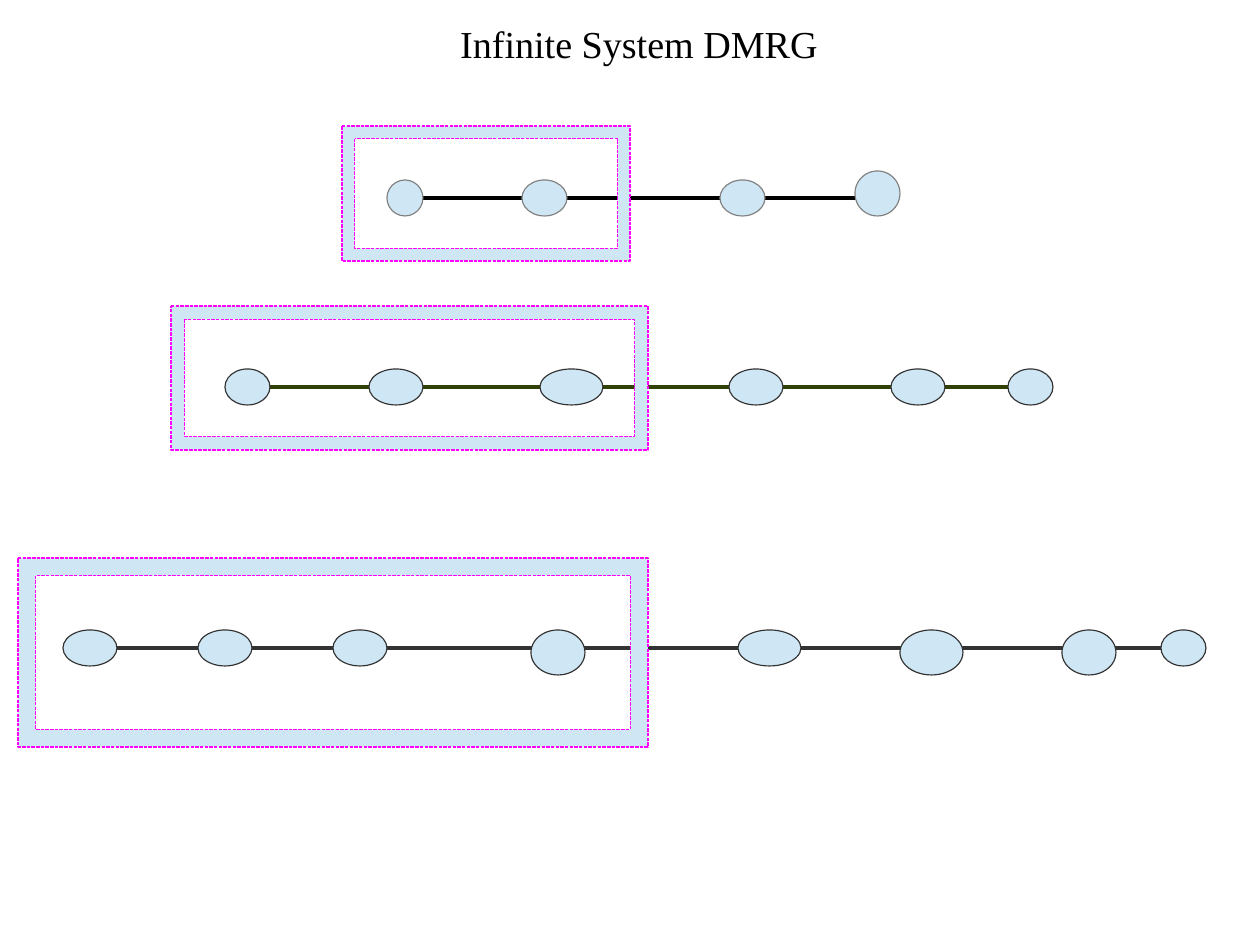
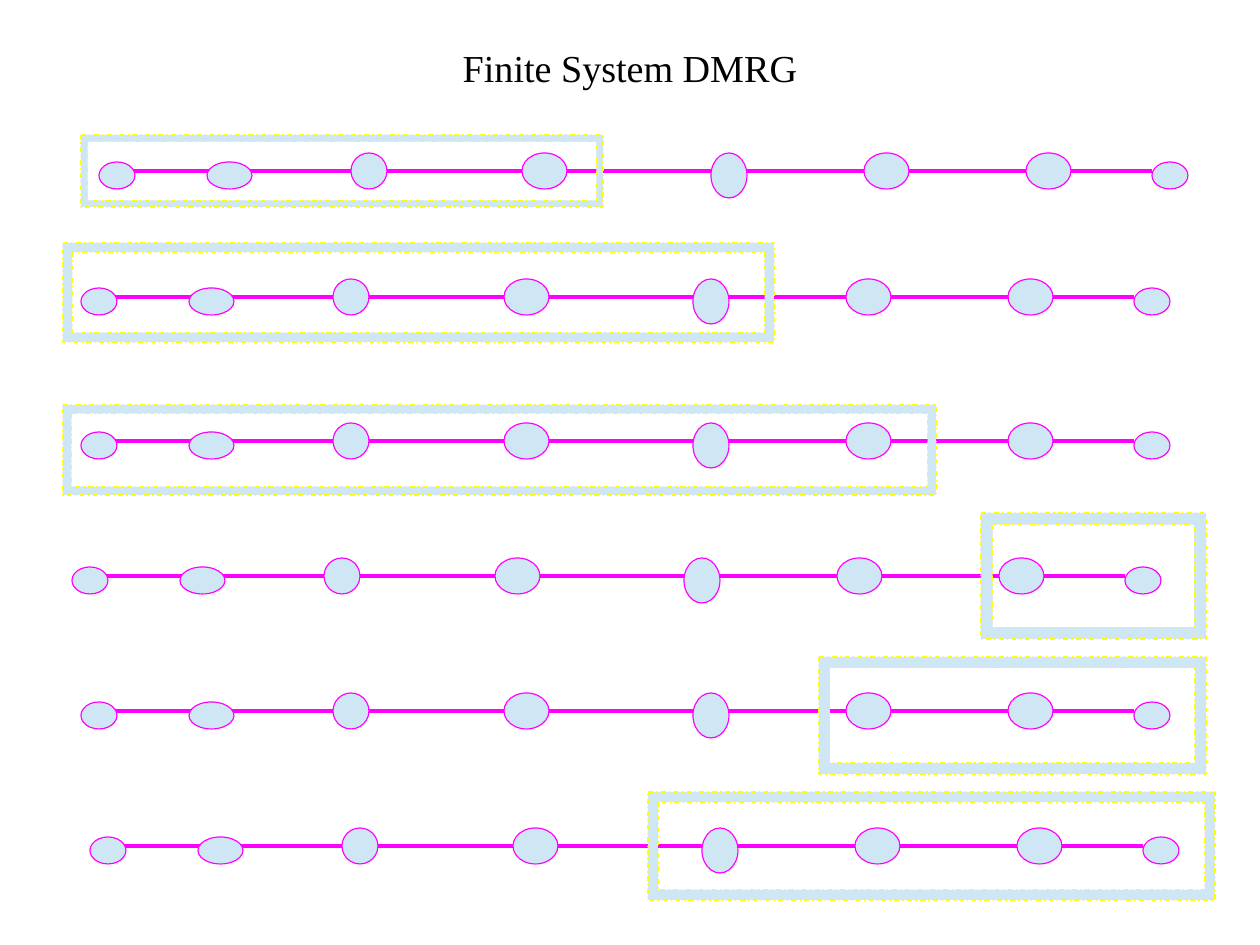
from lxml import etree
from pptx import Presentation, util as u
from pptx.dml.color import RGBColor
from pptx.enum import dml, shapes, text
from pptx.oxml import ns

# Content: all places are in grid cells of 2 mm
CELL = u.Mm(2)
COLS, ROWS = 140, 105
BLUE, PINK, GOLD, DARK = "CFE7F5", "FF00FF", "FFFF00", "333333"
DASH = dml.MSO_LINE.SQUARE_DOT
FINE = dml.MSO_LINE.DASH_DOT

# Chain sites: column, rows from the line up to the top, width, height
FOUR = [(43, 2, 4, 4), (58, 2, 5, 4), (80, 2, 5, 4), (95, 3, 5, 5)]
SIX = [(x, 2, w, 4) for x, w in
       [(25, 5), (41, 6), (60, 7), (81, 6), (99, 6), (112, 5)]]
EIGHT = [(x, 2, w, h) for x, w, h in
         [(7, 6, 4), (22, 6, 4), (37, 6, 4), (59, 6, 5),
          (82, 7, 4), (100, 7, 5), (118, 6, 5), (129, 5, 4)]]
SWEEP = [(0, 1, 4, 3), (12, 1, 5, 3), (28, 2, 4, 4), (47, 2, 5, 4),
         (68, 2, 4, 5), (85, 2, 5, 4), (103, 2, 5, 4), (117, 1, 4, 3)]

# Growing chains: sites, line row, line colour, site edge, block
GROW = [
    (FOUR, 22, "000000", "808080", (38, 14, 32, 15)),
    (SIX, 43, "314004", DARK, (19, 34, 53, 16)),
    (EIGHT, 72, DARK, DARK, (2, 62, 70, 21)),
]
# Sweeps over one chain: first column, line row, block
STEPS = [
    (11, 19, (9, 15, 58, 8)),
    (9, 33, (7, 27, 79, 11)),
    (9, 49, (7, 45, 97, 10)),
    (8, 64, (109, 57, 25, 14)),
    (9, 79, (91, 73, 43, 13)),
    (10, 94, (72, 88, 63, 12)),
]


def cells(*nums):
    return [round(n * CELL) for n in nums]


def tint(code):
    return RGBColor.from_string(code)


def write(shape, words, size=24, font="Times New Roman", color="000000"):
    frame = shape.text_frame
    frame.margin_left = frame.margin_right = 0
    frame.margin_top = frame.margin_bottom = 0
    frame.vertical_anchor = text.MSO_ANCHOR.MIDDLE
    frame.word_wrap = True
    para = frame.paragraphs[0]
    para.alignment = text.PP_ALIGN.CENTER
    run = para.add_run()
    run.text = words
    run.font.size, run.font.name = u.Pt(size), font
    run.font.color.rgb = tint(color)


def edge(line, color):
    line.width = 0
    line.color.rgb = tint(color)


def draw(slide, kind, box, color):
    shape = slide.shapes.add_shape(kind, *cells(*box))
    shape.shadow.inherit = False
    shape.fill.solid()
    shape.fill.fore_color.rgb = tint(BLUE)
    edge(shape.line, color)
    return shape


def chain(slide, sites, row, wire, rim, last, block, trim, dash):
    """Draw the line, the sites on it and the block frame around some."""
    start = sites[0][0]
    bond = slide.shapes.add_connector(
        shapes.MSO_CONNECTOR.STRAIGHT, *cells(start + 2 - (last == 0), row,
                                              sites[-1][0] + last, row))
    edge(bond.line, wire)
    etree.SubElement(bond._element.spPr, ns.qn("a:effectLst"))
    for x, up, w, h in sites:
        draw(slide, shapes.MSO_SHAPE.OVAL, (x, row - up, w, h), rim)
    frame = draw(slide, shapes.MSO_SHAPE.FRAME, block, trim)
    frame.adjustments[0] = 0.093
    frame.line.dash_style = dash


def page(deck, words, box):
    slide = deck.slides.add_slide(deck.slide_layouts[5])
    title = slide.shapes.title
    title.left, title.top, title.width, title.height = cells(*box)
    write(title, words)
    return slide


def main():
    deck = Presentation()
    deck.slide_width, deck.slide_height = cells(COLS, ROWS)

    # Infinite system: the chain grows
    slide = page(deck, "Infinite System DMRG", (8, 2, 126, 5.6))
    for sites, row, wire, rim, block in GROW:
        chain(slide, sites, row, wire, rim, 1, block, PINK, DASH)

    # Finite system: the block sweeps along
    slide = page(deck, "Finite System DMRG", (7, 3, 126, 9))
    for left, row, block in STEPS:
        sites = [(left + x, *rest) for x, *rest in SWEEP]
        chain(slide, sites, row, PINK, PINK, 0, block, GOLD, FINE)

    deck.save("out.pptx")


if __name__ == "__main__":
    main()
